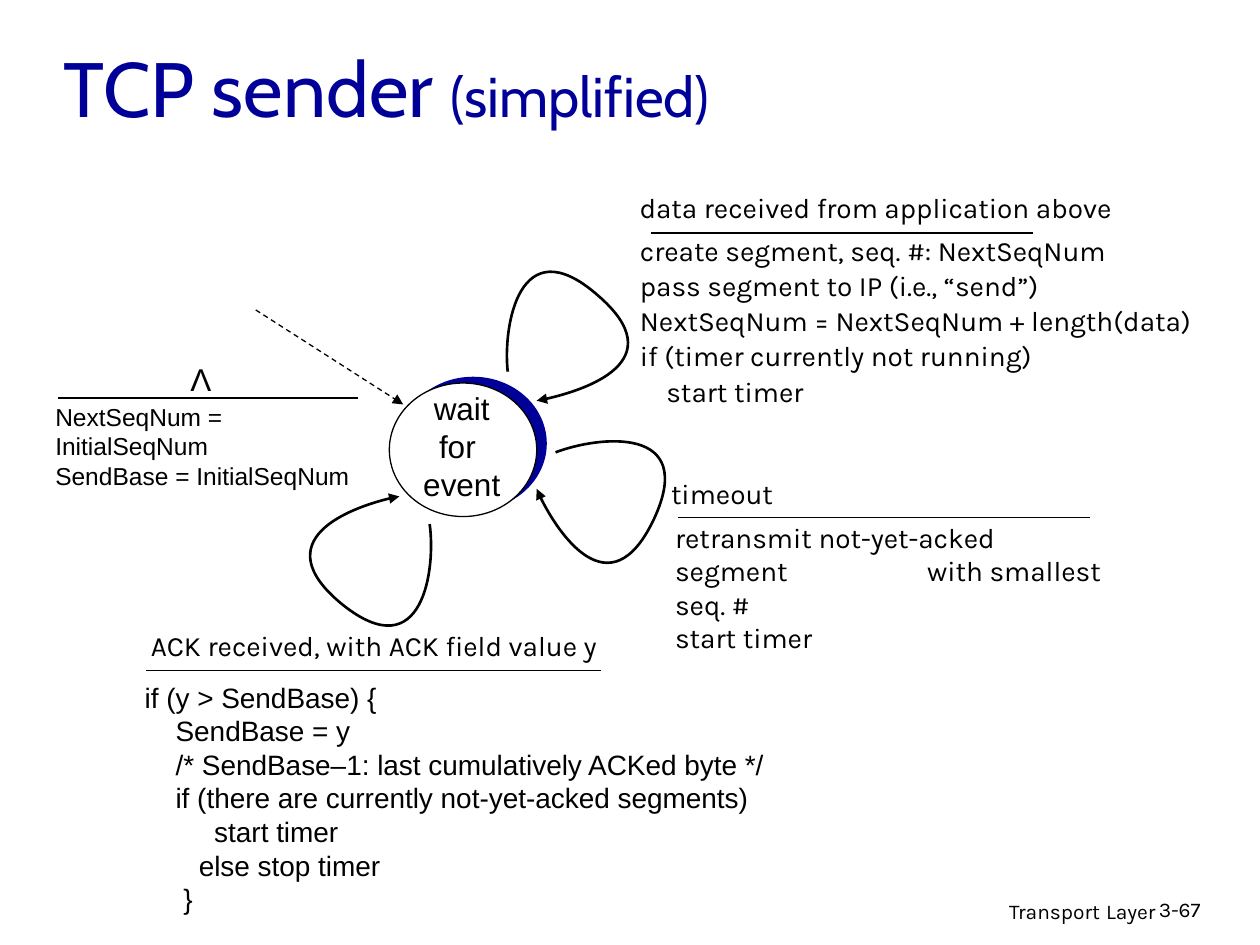
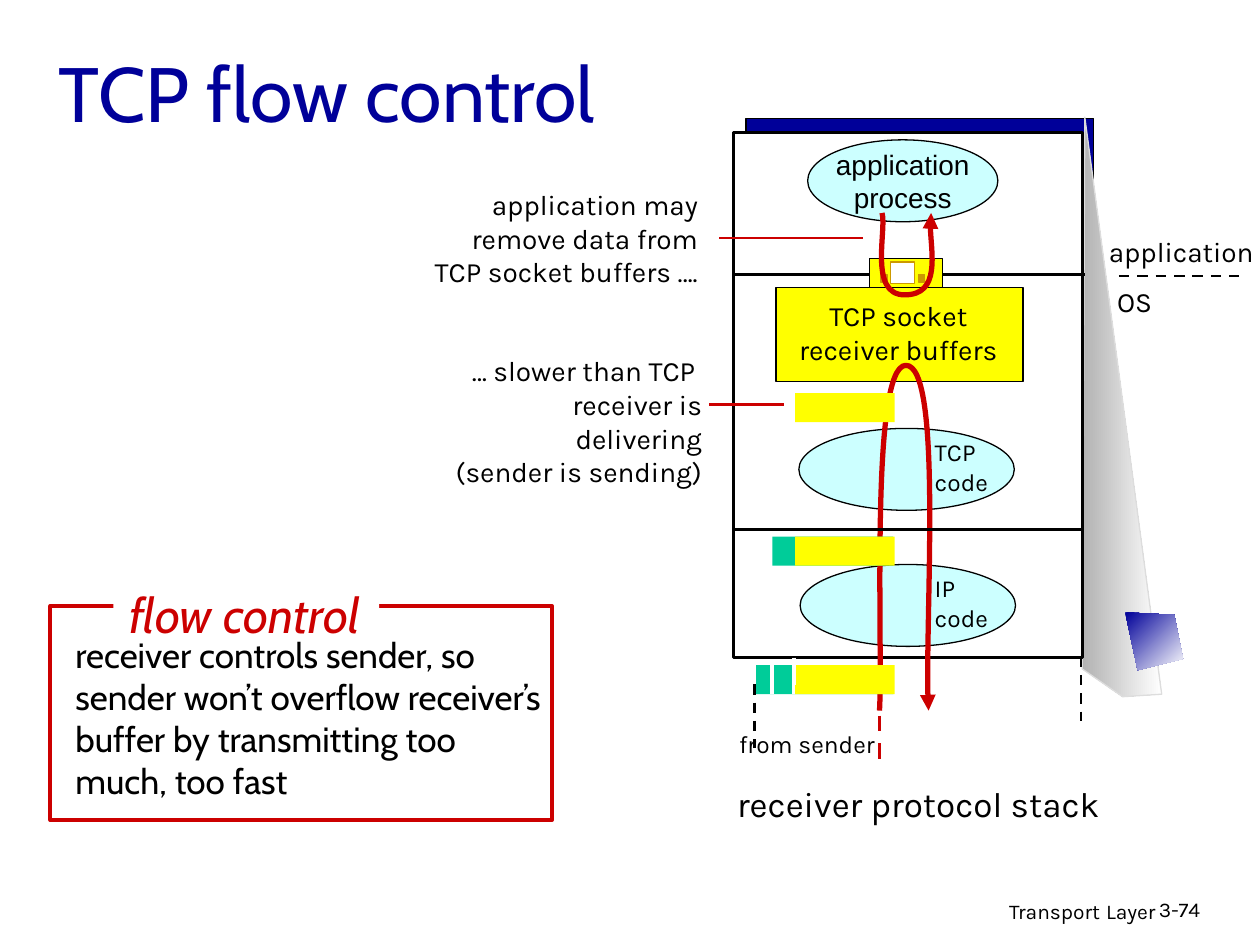
from lxml import etree
from pptx import Presentation
from pptx.dml.color import RGBColor
from pptx.enum.dml import MSO_LINE
from pptx.enum.shapes import MSO_CONNECTOR, MSO_SHAPE
from pptx.enum.text import MSO_ANCHOR, PP_ALIGN
from pptx.oxml.ns import qn
from pptx.util import Inches, Pt

# Shared look
NAVY, BLACK, WHITE, RED = "000099", "000000", "FFFFFF", "CC0000"
YELLOW, AQUA, GREEN, GOLD = "FFFF00", "CCFFFF", "00CC99", "CC9900"
HEADING, BODY, PLAIN = "Cabin", "Karla", "Arial"
LEFT, CENTER, RIGHT = PP_ALIGN.LEFT, PP_ALIGN.CENTER, PP_ALIGN.RIGHT
RECT, OVAL = MSO_SHAPE.RECTANGLE, MSO_SHAPE.OVAL


def rgb(hex_color):
    return RGBColor.from_string(hex_color)


def inches(*lengths):
    return [Inches(length) for length in lengths]


# Text
def write(frame, lines, size, font, color=BLACK, align=LEFT, wrap=False,
          spacing=None, tab=None, italic=None):
    """Fill a frame; a line is a string or a list of (text, size) runs."""
    frame.word_wrap = wrap
    for number, line in enumerate(lines):
        paragraph = frame.paragraphs[0] if number == 0 else frame.add_paragraph()
        paragraph.alignment = align
        if spacing:
            paragraph.line_spacing = spacing
        if tab:
            tabs = etree.SubElement(paragraph._p.get_or_add_pPr(), qn("a:tabLst"))
            etree.SubElement(tabs, qn("a:tab"), pos=str(Inches(tab)), algn="l")
        for text, run_size in [(line, size)] if isinstance(line, str) else line:
            run = paragraph.add_run()
            run.text = text
            run.font.size = Pt(run_size)
            run.font.name = font
            run.font.italic = italic
            run.font.color.rgb = rgb(color)


def text(slide, box, lines, size=16, font=BODY, anchor=MSO_ANCHOR.TOP, **style):
    frame = slide.shapes.add_textbox(*inches(*box)).text_frame
    frame.vertical_anchor = anchor
    write(frame, lines, size, font, **style)


# Shapes and lines
def outline(shape, color, width):
    if color:
        shape.line.color.rgb = rgb(color)
        shape.line.width = Pt(width)
    else:
        shape.line.fill.background()


def add_arrowhead(shape, end):
    stroke = shape.element.spPr.find(qn("a:ln"))
    etree.SubElement(stroke, qn(f"a:{end}"), type="triangle")


def block(slide, kind, box, fill, line=None, width=0.75):
    shape = slide.shapes.add_shape(kind, *inches(*box))
    shape.shadow.inherit = False
    shape.fill.solid()
    shape.fill.fore_color.rgb = rgb(fill)
    outline(shape, line, width)
    return shape


def rule(slide, start, end, color=BLACK, width=0.75, dashed=False, arrow=False):
    connector = slide.shapes.add_connector(
        MSO_CONNECTOR.STRAIGHT, *inches(*start, *end))
    outline(connector, color, width)
    if dashed:
        connector.line.dash_style = MSO_LINE.DASH
    if arrow:
        add_arrowhead(connector, "tailEnd")
    etree.SubElement(connector.element.spPr, qn("a:effectLst"))


def freeform(slide, points, close):
    builder = slide.shapes.build_freeform(*inches(*points[0]))
    builder.add_line_segments([inches(*point) for point in points[1:]], close=close)
    shape = builder.convert_to_shape()
    shape.shadow.inherit = False
    return shape


def curve(slide, points, color, width, arrow_end="tailEnd"):
    """Draw a start point followed by Bézier triples."""
    shape = freeform(slide, points, close=False)
    outline_path = shape.element.find(".//" + qn("a:path"))
    segments = outline_path.findall(qn("a:lnTo"))
    for first in range(0, len(segments), 3):
        bezier = etree.SubElement(outline_path, qn("a:cubicBezTo"))
        for segment in segments[first:first + 3]:
            bezier.append(segment[0])
            outline_path.remove(segment)
    shape.fill.background()
    outline(shape, color, width)
    add_arrowhead(shape, arrow_end)


def shaded_polygon(slide, points, colors, angle, line=None):
    shape = freeform(slide, points, close=True)
    shape.fill.gradient()
    shape.fill.gradient_angle = angle
    for stop, color in zip(shape.fill.gradient_stops, colors):
        stop.color.rgb = rgb(color)
    outline(shape, line, 0.75)


# Slide frame and content elements
def new_slide(deck, title, title_box, page):
    slide = deck.slides.add_slide(deck.slide_layouts[6])
    text(slide, (6.1, 7.05, 3.17, 0.31),
         [[("Transport", 12), (" ", 14), ("Layer", 12)]], align=RIGHT, wrap=True)
    text(slide, (9.1, 7.07, 0.74, 0.3), [page], 12, wrap=True)
    text(slide, title_box, [title], 44, HEADING, MSO_ANCHOR.MIDDLE,
         color=NAVY, wrap=True)
    return slide


def transition(slide, event, event_box, rule_span, actions, action_box, **style):
    """Event above a rule, actions below it."""
    left, right, height = rule_span
    text(slide, action_box, actions, **style)
    text(slide, event_box, [event], align=CENTER)
    rule(slide, (left, height), (right, height))


def layer_code(slide, layer, oval_left, top):
    block(slide, OVAL, (oval_left, top, 1.71, 0.65), AQUA, BLACK)
    text(slide, (7.32, top + 0.02, 0.64, 0.57), [layer, "code"], 14)


def build_sender(deck):
    slide = new_slide(deck, [("TCP sender ", 44), ("(simplified)", 32)],
                      (0.41, 0.2, 8.46, 0.98), "3-67")

    # State
    block(slide, OVAL, (3.17, 2.99, 1.17, 1.06), NAVY)
    block(slide, OVAL, (3.09, 3.04, 1.17, 1.06), WHITE, BLACK)
    text(slide, (3.26, 3.04, 0.81, 1), ["wait", "for ", "event"], 18, PLAIN,
         align=CENTER)

    # Initial transition
    rule(slide, (2.03, 2.46), (3.2, 3.21), dashed=True, arrow=True)
    text(slide, (0.34, 3.14, 2.79, 0.57),
         ["NextSeqNum = InitialSeqNum", "SendBase = InitialSeqNum"], 14, PLAIN)
    rule(slide, (0.46, 3.16), (2.84, 3.16))
    text(slide, (1.41, 2.81, 0.37, 0.4), ["Λ"], 18, PLAIN, align=CENTER)

    # Transitions back to the same state
    transition(slide, "data received from application above",
               (4.92, 1.46, 4.06, 0.37), (5.17, 8.2, 1.85),
               ["create segment, seq. #: NextSeqNum",
                "pass segment to IP (i.e., “send”)",
                "NextSeqNum = NextSeqNum + length(data)",
                "if (timer currently not running)",
                "    start timer"],
               (4.98, 1.79, 4.78, 1.77), spacing=1.05)
    transition(slide, "timeout", (5.22, 3.73, 1.02, 0.37), (5.38, 8.65, 4.11),
               ["retransmit not-yet-acked segment\twith smallest seq. #",
                "start timer"],
               (5.26, 4.08, 3.6, 1.17), wrap=True, tab=2)
    transition(slide, "ACK received, with ACK field value y ",
               (1.02, 4.94, 3.95, 0.37), (1.16, 4.77, 5.32),
               ["if (y > SendBase) {",
                "    SendBase = y",
                "    /* SendBase–1: last cumulatively ACKed byte */",
                "    if (there are currently not-yet-acked segments)",
                "         start timer",
                "       else stop timer",
                "     }"],
               (1.05, 5.35, 5.13, 1.97), font=PLAIN)
    loops = [
        [(4.03, 2.95), (3.99, 2.59), (4.12, 1.8), (4.74, 2.34),
         (5.36, 2.87), (4.52, 3.14), (4.26, 3.18)],
        [(4.41, 3.59), (4.75, 3.46), (5.54, 3.37), (5.19, 4.12),
         (4.84, 4.86), (4.35, 4.12), (4.26, 3.88)],
        [(3.41, 4.16), (3.46, 4.51), (3.36, 5.31), (2.72, 4.8),
         (2.08, 4.28), (2.91, 3.98), (3.17, 3.94)],
    ]
    for loop in loops:
        curve(slide, loop, BLACK, 1.5)


def build_flow_control(deck):
    slide = new_slide(deck, "TCP flow control", (0.37, 0.19, 8.5, 1.07), "3-74")

    # Protocol stack
    block(slide, RECT, (5.92, 0.94, 2.76, 4.22), NAVY, BLACK)
    shaded_polygon(slide, [(9.22, 5.51), (8.61, 0.93), (8.59, 5.31), (8.91, 5.53)],
                   ("B2B2B2", WHITE), 0, "DDDDDD")
    block(slide, RECT, (5.82, 1.05, 2.77, 4.17), WHITE, BLACK, 1.5)
    process = block(slide, OVAL, (6.41, 1.11, 1.51, 0.65), AQUA, BLACK)
    process.text_frame.vertical_anchor = MSO_ANCHOR.MIDDLE
    write(process.text_frame, ["application", "process"], 16, PLAIN, align=CENTER)
    block(slide, RECT, (6.16, 2.28, 1.96, 0.75), YELLOW, BLACK)
    text(slide, (6.21, 2.32, 1.84, 0.64), ["TCP socket", "receiver buffers"],
         align=CENTER)
    layer_code(slide, "TCP", 6.34, 3.4)
    layer_code(slide, "IP", 6.35, 4.48)
    curve(slide, [(6.98, 5.64), (7.01, 5.18), (6.9, 2.9), (7.19, 2.9),
                  (7.48, 2.9), (7.33, 5.07), (7.37, 5.64)], RED, 3)
    rule(slide, (5.82, 4.2), (8.6, 4.2), width=1.5)
    rule(slide, (5.83, 2.18), (8.61, 2.18), width=1.5)

    # Socket
    block(slide, RECT, (6.9, 2.05, 0.58, 0.23), YELLOW, BLACK)
    block(slide, RECT, (7.07, 2.08, 0.19, 0.17), WHITE, GOLD)
    for pin_left in (7.29, 6.99):
        block(slide, RECT, (pin_left, 2.18, 0.05, 0.06), GOLD, GOLD)
    curve(slide, [(7.39, 1.69), (7.36, 1.8), (7.47, 2.34), (7.18, 2.34),
                  (6.89, 2.34), (7.04, 1.82), (7, 1.69)], RED, 3, "headEnd")

    # Packets: green headers in front of yellow data
    for top, header_left in ((3.12, None), (4.26, 6.13), (5.28, 6)):
        if header_left:
            block(slide, RECT, (header_left, top, 7.09 - header_left, 0.23), GREEN)
        if header_left == 6:
            for gap in (6.13, 6.3):
                rule(slide, (gap, top), (gap, top + 0.23), WHITE, 2.25)
        block(slide, RECT, (6.31, top, 0.79, 0.23), YELLOW)

    # Labels
    text(slide, (8.7, 1.81, 1.35, 0.37), ["application"], align=CENTER)
    text(slide, (8.76, 2.21, 0.49, 0.37), ["OS"], align=CENTER)
    rule(slide, (8.88, 2.19), (9.83, 2.19), width=1.5, dashed=True)
    text(slide, (5.71, 6.16, 3.16, 0.44), ["receiver protocol stack"], 20,
         align=CENTER)
    text(slide, (2.2, 1.44, 3.49, 0.9),
         ["application may ", "remove data from ", "TCP socket buffers …. "],
         align=RIGHT, wrap=True)
    rule(slide, (5.71, 1.89), (6.85, 1.89), RED, 1.5)
    text(slide, (3.47, 2.76, 2.2, 1.17),
         ["… slower than TCP ", "receiver is delivering", "(sender is sending)"],
         align=RIGHT, wrap=True)
    rule(slide, (5.63, 3.21), (6.22, 3.21), RED, 1.5)
    rule(slide, (6.98, 5.68), (6.98, 6.06), RED, 2.25, dashed=True)
    text(slide, (5.74, 5.74, 1.33, 0.34), ["from sender"], 14, align=CENTER)
    rule(slide, (6.3, 5.22), (6.3, 5.44), WHITE, 2.25)

    # Definition
    block(slide, RECT, (0.4, 4.81, 3.98, 1.7), WHITE, RED, 2.25)
    text(slide, (0.5, 4.98, 3.93, 1.77),
         ["receiver controls sender, so sender won’t overflow receiver’s "
          "buffer by transmitting too much, too fast"], 20, HEADING, wrap=True)
    block(slide, RECT, (0.9, 4.69, 2.11, 0.39), WHITE)
    text(slide, (0.82, 4.59, 2.24, 0.57), ["flow control"], 28, HEADING,
         color=RED, align=CENTER, italic=True)

    # Stack edges below the last layer
    for edge, top in ((5.99, 5.43), (8.58, 5.21)):
        rule(slide, (edge, top), (edge, top + 0.51), width=1.5, dashed=True)
    shaded_polygon(slide, [(8.93, 4.86), (9.32, 4.88), (9.39, 5.23), (9.03, 5.32)],
                   (NAVY, WHITE), 315)


def main():
    deck = Presentation()
    deck.slide_width, deck.slide_height = inches(10, 7.5)
    build_sender(deck)
    build_flow_control(deck)
    deck.save("out.pptx")


if __name__ == "__main__":
    main()
